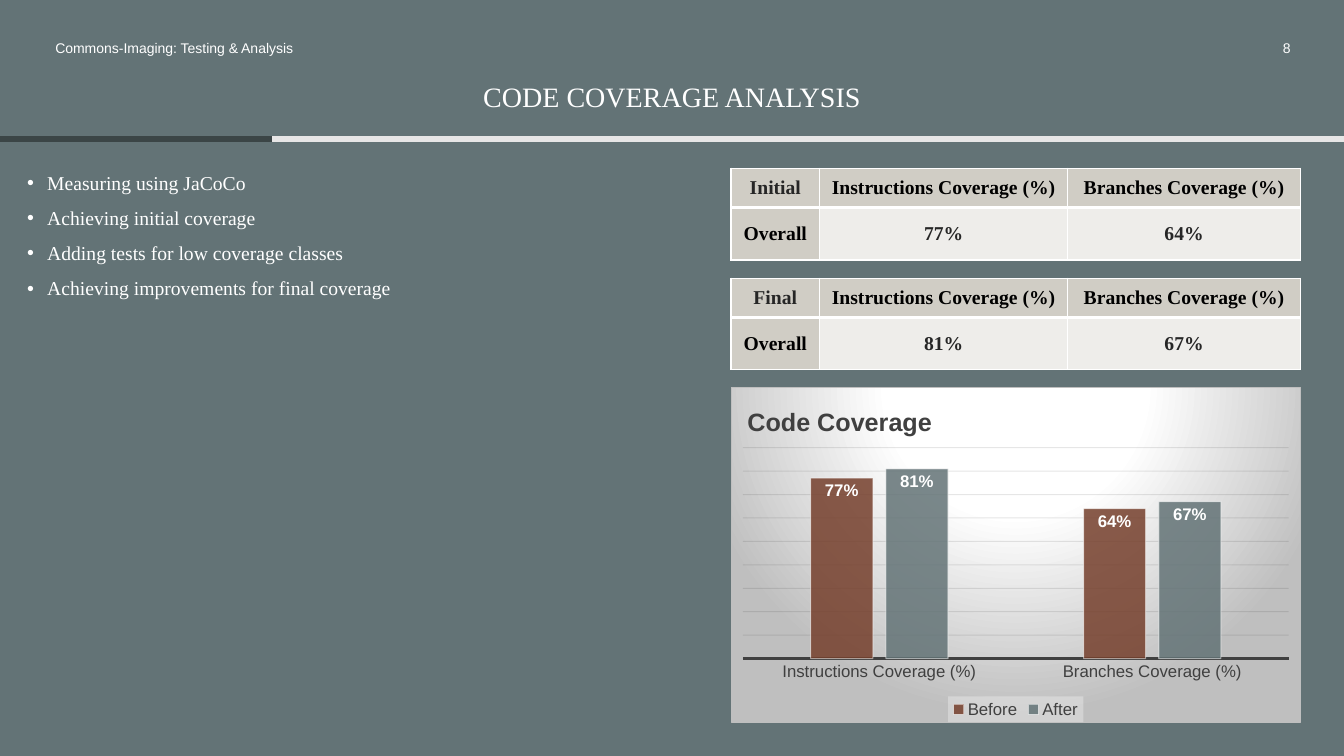
import dataclasses

import pptx
import pptx.chart.data
import pptx.dml.color
import pptx.enum.chart
import pptx.enum.shapes
import pptx.enum.text
import pptx.oxml
import pptx.oxml.ns
import pptx.util

Inches = pptx.util.Inches
Pt = pptx.util.Pt
qn = pptx.oxml.ns.qn
rgb = pptx.dml.color.RGBColor.from_string
Align = pptx.enum.text.PP_ALIGN
Anchor = pptx.enum.text.MSO_ANCHOR
NAMESPACES = pptx.oxml.ns.nsdecls("a", "c")


@dataclasses.dataclass(frozen=True)
class Theme:
    slate: str = "637376"
    dark_slate: str = "3B4546"
    pale_rule: str = "E7E6E6"
    white: str = "FFFFFF"
    black: str = "000000"
    ink: str = "262626"
    chart_ink: str = "404040"
    grid: str = "0D0D0D"
    header_fill: str = "D0CDC5"
    value_fill: str = "EEEDEA"
    chart_edge: str = "BFBFBF"
    legend_fill: str = "F2F2F2"
    brown: str = "753F2C"
    serif: str = "Times New Roman"
    sans: str = "Arial"
    title_size: int = 20
    chart_title_size: int = 18
    body_size: int = 14
    chart_size: int = 12
    small_size: int = 10


THEME = Theme()
MEASURES = ("Instructions Coverage (%)", "Branches Coverage (%)")
COVERAGE = {"Initial": (0.77, 0.64), "Final": (0.81, 0.67)}


def style(font, face, size, color, bold=False):
    font.name, font.size, font.bold = face, Pt(size), bold
    font.color.rgb = rgb(color)


def fade(element, percent):
    for color in element.iter(qn("a:srgbClr")):
        pptx.oxml.ns  # noqa
        color.append(pptx.oxml.parse_xml(f'<a:alpha {NAMESPACES} val="{percent * 1000}"/>'))


def add_rule(slide, start, end, y, color):
    rule = slide.shapes.add_connector(
        pptx.enum.shapes.MSO_CONNECTOR.STRAIGHT, Inches(start), Inches(y), Inches(end), Inches(y))
    rule.line.color.rgb = rgb(color)
    rule.line.width = Pt(4.5)
    rule._element.spPr.append(pptx.oxml.parse_xml(f"<a:effectLst {NAMESPACES}/>"))


def add_header_note(slide, box, text, align):
    frame = slide.shapes.add_textbox(*map(Inches, box)).text_frame
    frame.word_wrap = True
    frame.vertical_anchor = Anchor.MIDDLE
    note = frame.paragraphs[0]
    note.text, note.alignment = text, align
    style(note.font, THEME.sans, THEME.small_size, THEME.white)


def add_title(slide, box, text):
    title = slide.shapes.title
    title.left, title.top, title.width, title.height = map(Inches, box)
    title.text_frame.vertical_anchor = Anchor.TOP
    heading = title.text_frame.paragraphs[0]
    heading.text, heading.alignment, heading.line_spacing = text, Align.CENTER, 0.8
    style(heading.font, THEME.serif, THEME.title_size, THEME.white)


def add_bullets(slide, box, points):
    frame = slide.shapes.add_textbox(*map(Inches, box)).text_frame
    frame.word_wrap = True
    for index, point in enumerate(points):
        line = frame.add_paragraph() if index else frame.paragraphs[0]
        line.text, line.line_spacing = point, 0.9
        line.space_before = Pt(10 if index else 0)
        properties = line._p.get_or_add_pPr()
        properties.set("marL", str(Inches(0.2)))
        properties.set("indent", str(Inches(-0.2)))
        for bullet in ('buFont typeface="Arial"', 'buChar char="•"'):
            tag, attribute = bullet.split(" ")
            properties.append(pptx.oxml.parse_xml(f"<a:{tag} {NAMESPACES} {attribute}/>"))
        style(line.font, THEME.serif, THEME.body_size, THEME.white)


def add_borders(cell, top, bottom):
    properties = cell._tc.get_or_add_tcPr()
    widths = {"lnL": 1, "lnR": 1, "lnT": top, "lnB": bottom}
    for index, (side, width) in enumerate(widths.items()):
        properties.insert(index, pptx.oxml.parse_xml(
            f'<a:{side} {NAMESPACES} w="{Pt(width)}"><a:solidFill>'
            f'<a:srgbClr val="{THEME.white}"/></a:solidFill></a:{side}>'))


def add_coverage_table(slide, box, stage, values):
    table = slide.shapes.add_table(2, 3, *map(Inches, box)).table
    for column, width in zip(table.columns, (0.88, 2.46, 2.31)):
        column.width = Inches(width)
    for row, height in zip(table.rows, (0.39, 0.52)):
        row.height = Inches(height)
    content = ((stage, *MEASURES), ("Overall", *(f"{value:.0%}" for value in values)))
    for r, texts in enumerate(content):
        for c, text in enumerate(texts):
            cell = table.cell(r, c)
            is_label = r == 0 or c == 0
            cell.fill.solid()
            cell.fill.fore_color.rgb = rgb(THEME.header_fill if is_label else THEME.value_fill)
            cell.vertical_anchor = Anchor.MIDDLE
            entry = cell.text_frame.paragraphs[0]
            entry.text, entry.alignment = text, Align.CENTER
            color = THEME.black if (r == 0) != (c == 0) else THEME.ink
            style(entry.font, THEME.serif, THEME.body_size, color, True)
            add_borders(cell, *((1, 3) if r == 0 else (3, 1)))


def set_layout(element, index, target="", **fractions):
    for old in element.findall(qn("c:layout")):
        element.remove(old)
    modes = "".join(f'<c:{axis}Mode val="edge"/>' for axis in "xy")
    places = "".join(f'<c:{key} val="{value}"/>' for key, value in fractions.items())
    element.insert(index, pptx.oxml.parse_xml(
        f"<c:layout {NAMESPACES}><c:manualLayout>{target}{modes}{places}"
        "</c:manualLayout></c:layout>"))


def add_chart_backdrop(chart):
    stops = "".join(
        f'<a:gs pos="{position * 1000}"><a:srgbClr val="{color}"/></a:gs>'
        for position, color in ((0, THEME.white), (39, THEME.white), (100, THEME.chart_edge)))
    chart._chartSpace.find(qn("c:chart")).addnext(pptx.oxml.parse_xml(
        f'<c:spPr {NAMESPACES}><a:gradFill><a:gsLst>{stops}</a:gsLst><a:path path="circle">'
        '<a:fillToRect l="50000" t="-80000" r="50000" b="180000"/></a:path></a:gradFill>'
        f'<a:ln w="{Pt(0.75)}"><a:solidFill><a:srgbClr val="{THEME.chart_edge}"/>'
        "</a:solidFill></a:ln></c:spPr>"))


def style_legend(chart):
    chart.has_legend = True
    legend = chart.legend
    legend.position = pptx.enum.chart.XL_LEGEND_POSITION.BOTTOM
    legend.include_in_layout = False
    style(legend.font, THEME.sans, THEME.chart_size, THEME.chart_ink)
    backdrop = pptx.oxml.parse_xml(
        f'<c:spPr {NAMESPACES}><a:solidFill><a:srgbClr val="{THEME.legend_fill}"/>'
        "</a:solidFill></c:spPr>")
    fade(backdrop, 39)
    legend._element.find(qn("c:overlay")).addnext(backdrop)


def style_axes(chart):
    measures, shares = chart.category_axis, chart.value_axis
    measures.major_tick_mark = pptx.enum.chart.XL_TICK_MARK.NONE
    style(measures.tick_labels.font, THEME.sans, THEME.chart_size, THEME.chart_ink)
    measures.format.line.color.rgb = rgb(THEME.chart_ink)
    measures.format.line.width = Pt(1.5)
    shares.minimum_scale, shares.maximum_scale, shares.major_unit = 0, 0.9, 0.1
    shares.visible = False
    shares.major_gridlines.format.line.color.rgb = rgb(THEME.grid)
    shares.major_gridlines.format.line.width = Pt(0.75)
    fade(shares._element.find(qn("c:majorGridlines")), 10)


def style_columns(plot):
    plot.gap_width, plot.overlap, plot.vary_by_categories = 218, -21, False
    for series, color in zip(plot.series, (THEME.brown, THEME.slate)):
        series.format.fill.solid()
        series.format.fill.fore_color.rgb = rgb(color)
        shape_properties = series._element.find(qn("c:spPr"))
        fade(shape_properties, 85)
        series.format.line.color.rgb = rgb(THEME.white)
        series.format.line.width = Pt(0.75)
        fade(shape_properties.find(qn("a:ln")), 50)
        labels = series.data_labels
        labels.show_value = True
        labels.position = pptx.enum.chart.XL_LABEL_POSITION.INSIDE_END
        labels.number_format, labels.number_format_is_linked = "0%", False
        style(labels.font, THEME.sans, THEME.chart_size, THEME.white, True)


def add_coverage_chart(slide, box):
    data = pptx.chart.data.CategoryChartData(number_format="0%")
    data.categories = MEASURES
    for name, values in zip(("Before", "After"), COVERAGE.values()):
        data.add_series(name, values)
    chart = slide.shapes.add_chart(
        pptx.enum.chart.XL_CHART_TYPE.COLUMN_CLUSTERED, *map(Inches, box), data).chart
    style(chart.font, THEME.sans, THEME.small_size, THEME.black)
    add_chart_backdrop(chart)
    heading = chart.chart_title.text_frame.paragraphs[0]
    heading.text = "Code Coverage"
    style(heading.font, THEME.sans, THEME.chart_title_size, THEME.chart_ink, True)
    set_layout(chart.chart_title._element, 1, x=0.02, y=0.04)
    set_layout(chart._chartSpace.chart.plotArea, 0, '<c:layoutTarget val="inner"/>',
               x=0.02, y=0.18, w=0.96, h=0.63)
    style_legend(chart)
    style_axes(chart)
    style_columns(chart.plots[0])


def add_coverage_slide(deck):
    slide = deck.slides.add_slide(deck.slide_layouts[5])
    slide.background.fill.solid()
    slide.background.fill.fore_color.rgb = rgb(THEME.slate)
    add_rule(slide, 13.33, 2.7, 1.38, THEME.pale_rule)
    add_rule(slide, 2.7, 0, 1.38, THEME.dark_slate)
    add_header_note(slide, (0.45, 0.33, 2.7, 0.3), "Commons-Imaging: Testing & Analysis", Align.LEFT)
    add_header_note(slide, (11.07, 0.33, 1.83, 0.3), "8", Align.RIGHT)
    add_title(slide, (3.62, 0.8, 6.09, 0.77), "CODE COVERAGE ANALYSIS")
    add_bullets(slide, (0.17, 1.67, 4.53, 5.63), (
        "Measuring using JaCoCo", "Achieving initial coverage",
        "Adding tests for low coverage classes", "Achieving improvements for final coverage"))
    for index, (stage, values) in enumerate(COVERAGE.items()):
        add_coverage_table(slide, (7.25, 1.67 + index * 1.09, 5.65, 0.91), stage, values)
    add_coverage_chart(slide, (7.25, 3.84, 5.65, 3.33))


def main():
    deck = pptx.Presentation()
    deck.slide_width, deck.slide_height = Inches(13.33), Inches(7.5)
    add_coverage_slide(deck)
    deck.save("out.pptx")


if __name__ == "__main__":
    main()
